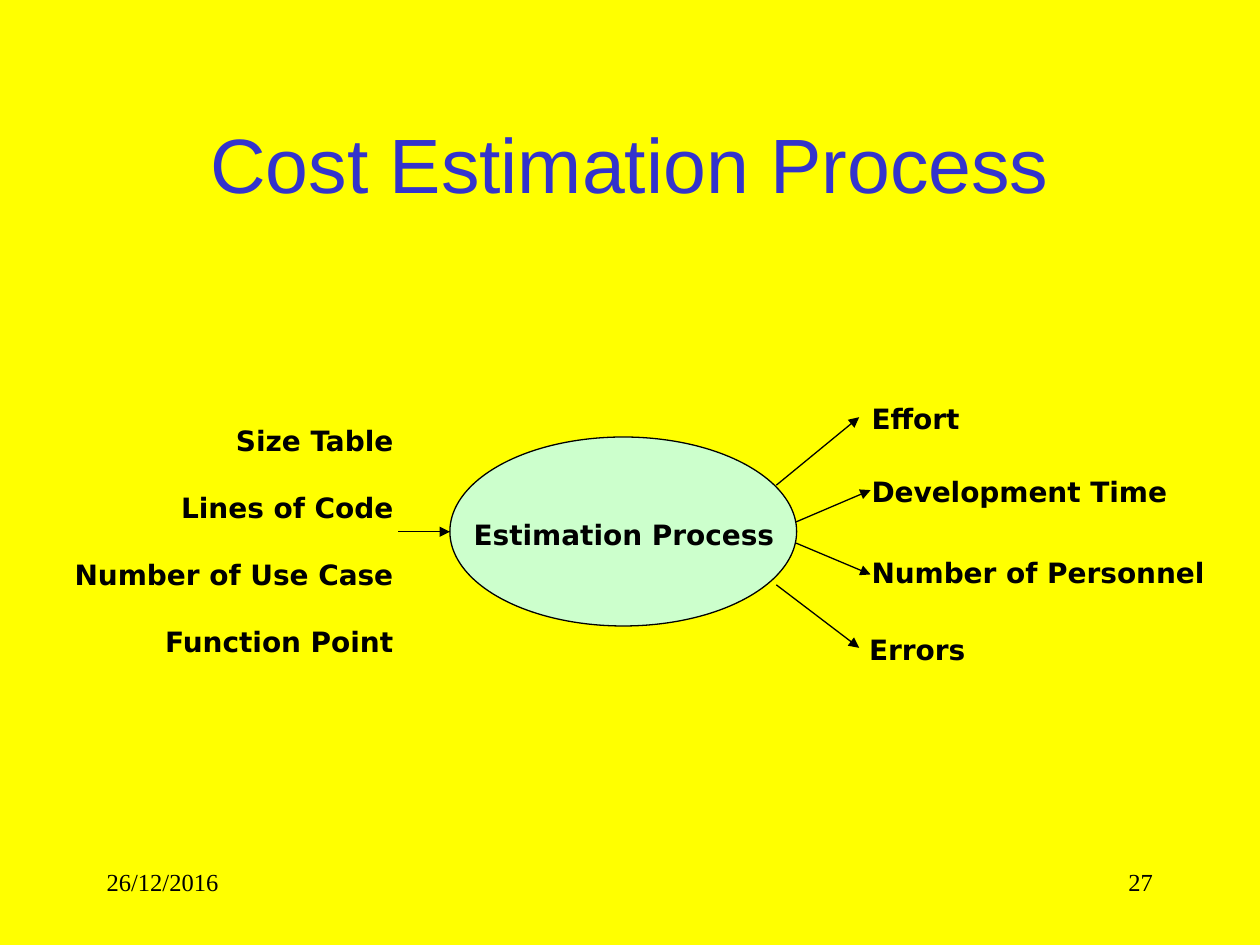
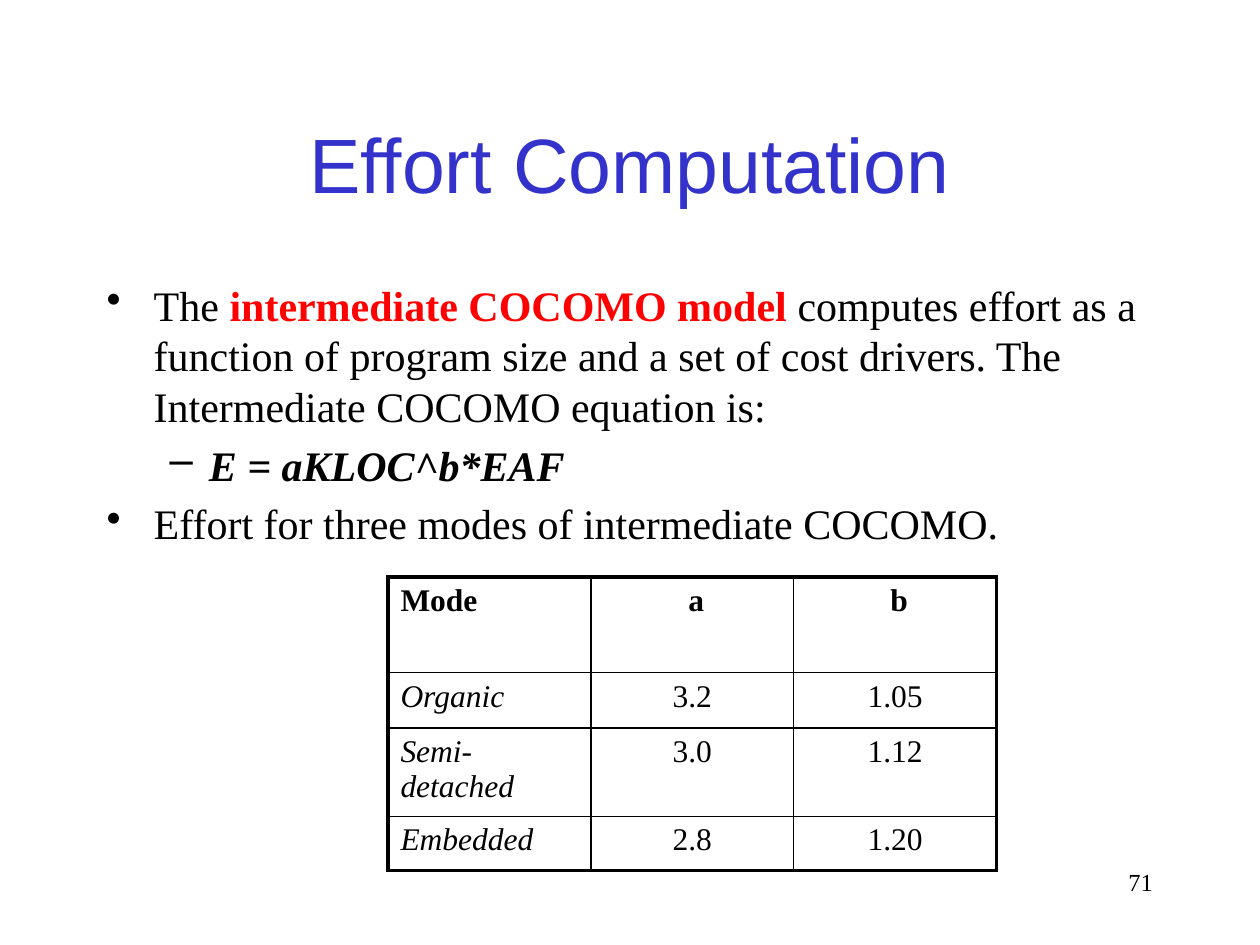
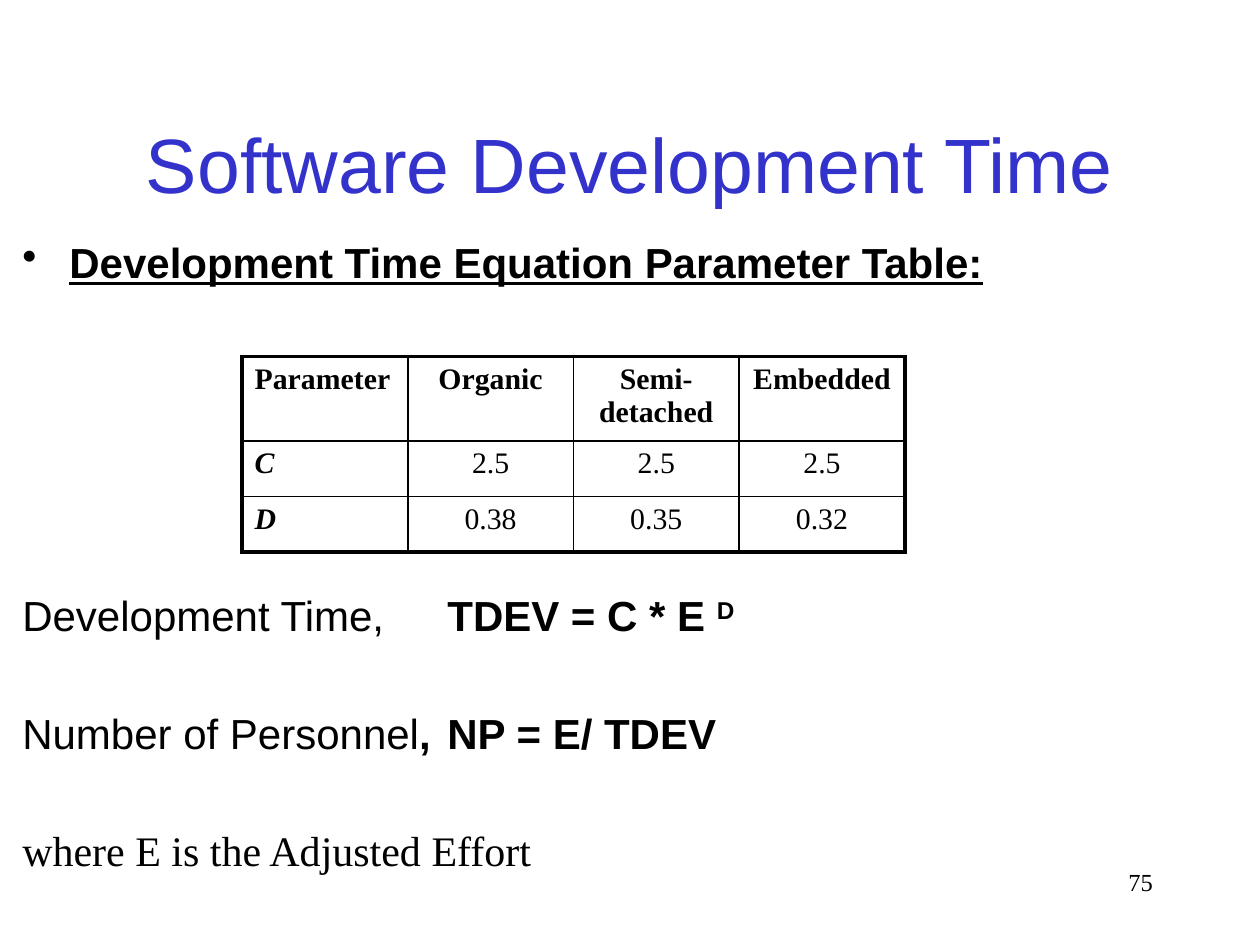
from dataclasses import dataclass
from typing import NamedTuple

from lxml.etree import SubElement
from pptx import Presentation
from pptx.dml.color import RGBColor
from pptx.enum.shapes import MSO_CONNECTOR as CONN, MSO_SHAPE as SHAPE
from pptx.enum.text import MSO_ANCHOR as ANCHOR, PP_ALIGN as ALIGN
from pptx.oxml.ns import qn
from pptx.util import Cm, Pt

# Shared style
COLORS = {
    "page": "FFFFFF",
    "highlight_page": "FFFF00",
    "title": "3333CC",
    "ink": "000000",
    "accent": "FF0000",
    "process": "CCFFCC",
}
SERIF, SANS, LABEL = "Times New Roman", "Arial", "DejaVu Sans"
THIN, THICK = 1, 2.25
BODY_GAP = 4.8


class Box(NamedTuple):
    """Position and size in centimetres."""
    left: float
    top: float
    width: float
    height: float

    def emu(self) -> list:
        return [Cm(v) for v in self]


class Arrow(NamedTuple):
    """Start and end points in centimetres."""
    x1: float
    y1: float
    x2: float
    y2: float


@dataclass
class Run:
    text: str
    bold: bool | None = None
    italic: bool | None = None
    underline: bool | None = None
    color: str | None = None
    font: str | None = None
    raised: bool = False


@dataclass
class Para:
    runs: list[Run]
    before: float = 0
    bullet: str = ""
    margin: float = 0
    hang: float = 0
    tab: float = 0


@dataclass
class Grid:
    left: float
    top: float
    col_width: float
    row_heights: list[float]
    rows: list[list[str]]
    size: float
    bold_names: bool = False


TITLE_BOX = Box(1.9, 1.7, 21.6, 3.18)
DATE_BOX = Box(1.9, 17.35, 5.28, 1.27)
NUMBER_BOX = Box(18.21, 17.35, 5.28, 1.27)


def rgb(name: str) -> RGBColor:
    return RGBColor.from_string(COLORS[name])


# Text
def write(tf, paras, *, size: float, font: str = SERIF, color: str = "ink",
          bold: bool = False, italic: bool = False, align=ALIGN.LEFT) -> None:
    """Fill a text frame; a plain string counts as one paragraph."""
    if isinstance(paras, str):
        paras = [Para([Run(paras)])]
    for i, para in enumerate(paras):
        p = tf.paragraphs[0] if i == 0 else tf.add_paragraph()
        p.alignment = align
        p.space_before = Pt(para.before)
        pPr = p._p.get_or_add_pPr()
        if para.bullet:
            pPr.set("marL", str(Cm(para.margin)))
            pPr.set("indent", str(-Cm(para.hang)))
            SubElement(pPr, qn("a:buChar"), char=para.bullet)
        if para.tab:
            tabs = SubElement(pPr, qn("a:tabLst"))
            SubElement(tabs, qn("a:tab"), pos=str(Cm(para.tab)), algn="l")
        for run in para.runs:
            r = p.add_run()
            r.text = run.text
            r.font.size = Pt(size)
            r.font.name = run.font or font
            r.font.bold = bold if run.bold is None else run.bold
            r.font.italic = italic if run.italic is None else run.italic
            r.font.underline = run.underline
            r.font.color.rgb = rgb(run.color or color)
            if run.raised:
                r.font._element.set("baseline", "30000")


def add_text(slide, box: Box, paras, *, anchor=ANCHOR.TOP, **fmt) -> None:
    tf = slide.shapes.add_textbox(*box.emu()).text_frame
    tf.word_wrap = True
    tf.vertical_anchor = anchor
    write(tf, paras, **fmt)


# Slide frame
def add_slide(prs, title: str, number: int, page: str = "page", date: str = ""):
    slide = prs.slides.add_slide(prs.slide_layouts[6])
    fill = slide.background.fill
    fill.solid()
    fill.fore_color.rgb = rgb(page)
    add_text(slide, TITLE_BOX, title, size=44, font=SANS, color="title",
             align=ALIGN.CENTER, anchor=ANCHOR.MIDDLE)
    if date:
        add_text(slide, DATE_BOX, date, size=14)
    add_text(slide, NUMBER_BOX, str(number), size=14, align=ALIGN.RIGHT)
    return slide


def add_arrow(slide, arrow: Arrow) -> None:
    sp = slide.shapes.add_connector(CONN.STRAIGHT, *[Cm(v) for v in arrow])
    sp.line.color.rgb = rgb("ink")
    sp.line.width = Pt(0.75)
    SubElement(sp.line._get_or_add_ln(), qn("a:tailEnd"), type="triangle")
    SubElement(sp._element.spPr, qn("a:effectLst"))


# Tables
def set_border(cell, side: str, width: float) -> None:
    ln = SubElement(cell._tc.get_or_add_tcPr(), qn(f"a:ln{side}"), w=str(Pt(width)))
    fill = SubElement(ln, qn("a:solidFill"))
    SubElement(fill, qn("a:srgbClr"), val=COLORS["ink"])


def add_grid(slide, grid: Grid) -> None:
    n_rows, n_cols = len(grid.rows), len(grid.rows[0])
    box = Box(grid.left, grid.top, grid.col_width * n_cols, sum(grid.row_heights))
    table = slide.shapes.add_table(n_rows, n_cols, *box.emu()).table
    table.first_row = table.horz_banding = False
    for col in table.columns:
        col.width = Cm(grid.col_width)
    for row, height in zip(table.rows, grid.row_heights):
        row.height = Cm(height)
    for i, texts in enumerate(grid.rows):
        for j, text in enumerate(texts):
            cell = table.cell(i, j)
            outer = {"L": j == 0, "R": j == n_cols - 1,
                     "T": i == 0, "B": i == n_rows - 1}
            for side, is_outer in outer.items():
                set_border(cell, side, THICK if is_outer else THIN)
            cell.fill.background()
            is_name = i > 0 and j == 0
            write(cell.text_frame, text, size=grid.size, italic=is_name,
                  bold=i == 0 or (is_name and grid.bold_names),
                  align=ALIGN.LEFT if j == 0 else ALIGN.CENTER)


# Slides
def build_process(prs) -> None:
    slide = add_slide(prs, "Cost Estimation Process", 27,
                      page="highlight_page", date="26/12/2016")
    label = {"size": 16, "font": LABEL, "bold": True}

    # Inputs
    inputs = ["Size Table", "Lines of Code", "Number of Use Case", "Function Point"]
    add_text(slide, Box(1.19, 8.41, 6.99, 4.88),
             [Para([Run(t)], before=19.2 if i else 0) for i, t in enumerate(inputs)],
             align=ALIGN.RIGHT, **label)

    # Process
    sp = slide.shapes.add_shape(SHAPE.OVAL, *Box(9.07, 8.81, 6.99, 3.81).emu())
    sp.shadow.inherit = False
    sp.fill.solid()
    sp.fill.fore_color.rgb = rgb("process")
    sp.line.color.rgb = rgb("ink")
    sp.line.width = Pt(0.75)
    add_text(slide, Box(9.3, 10.31, 6.99, 0.97), "Estimation Process", **label)

    # Outputs
    for text, left, top in [("Effort", 17.32, 7.98),
                            ("Development Time", 17.32, 9.45),
                            ("Number of Personnel", 17.32, 11.07),
                            ("Errors", 17.27, 12.62)]:
        add_text(slide, Box(left, top, 7.62, 0.97), text, **label)

    for arrow in [Arrow(8.03, 10.72, 9.07, 10.72),
                  Arrow(15.65, 9.78, 17.32, 8.41),
                  Arrow(16.05, 10.52, 17.55, 9.88),
                  Arrow(16.05, 10.95, 17.55, 11.58),
                  Arrow(15.65, 11.79, 17.32, 13.06)]:
        add_arrow(slide, arrow)


def build_effort(prs) -> None:
    slide = add_slide(prs, "Effort Computation", 71)
    point = {"bullet": "•", "margin": 0.95, "hang": 0.95}
    add_text(slide, Box(1.9, 5.51, 21.59, 11.43), [
        Para([Run("The "),
              Run("intermediate COCOMO model", bold=True, color="accent"),
              Run(" computes effort as a function of program size and a set of "
                  "cost drivers. The Intermediate COCOMO equation is:")], **point),
        Para([Run("E = aKLOC^b*EAF", bold=True, italic=True)],
             before=BODY_GAP, bullet="–", margin=2.06, hang=0.79),
        Para([Run("Effort for three modes of intermediate COCOMO.")],
             before=BODY_GAP, **point),
    ], size=24)
    add_grid(slide, Grid(7.82, 11.63, 4.09, [1.93, 1.12, 1.78, 1.09], [
        ["Mode", " a", " b"],
        ["Organic", "3.2", "1.05"],
        ["Semi-detached", "3.0", "1.12"],
        ["Embedded", "2.8", "1.20"],
    ], size=18))


def build_time(prs) -> None:
    slide = add_slide(prs, "Software Development Time", 75)
    equation = {"before": 38.4, "tab": 8.57}
    add_text(slide, Box(0.2, 4.65, 24.56, 13.34), [
        Para([Run("Development Time Equation Parameter Table:",
                  bold=True, underline=True)],
             bullet="•", margin=0.95, hang=0.95),
        Para([Run("Development Time,"), Run("\tTDEV = C * E ", bold=True),
              Run("D", bold=True, raised=True)], before=172.8, tab=8.57),
        Para([Run("Number of Personnel"), Run(",\tNP = E/ TDEV", bold=True)],
             **equation),
        Para([Run("where E is the Adjusted Effort", font=SERIF)], **equation),
    ], size=24, font=SANS)
    add_grid(slide, Grid(4.88, 7.19, 3.34, [1.7, 1.12, 1.12], [
        ["Parameter", "Organic", "Semi-detached", "Embedded"],
        ["C", "2.5", "2.5", "2.5"],
        ["D", "0.38", "0.35", "0.32"],
    ], size=17, bold_names=True))


def main() -> None:
    prs = Presentation()
    prs.slide_width, prs.slide_height = Cm(25.4), Cm(19.05)
    build_process(prs)
    build_effort(prs)
    build_time(prs)
    prs.save("out.pptx")


if __name__ == "__main__":
    main()
